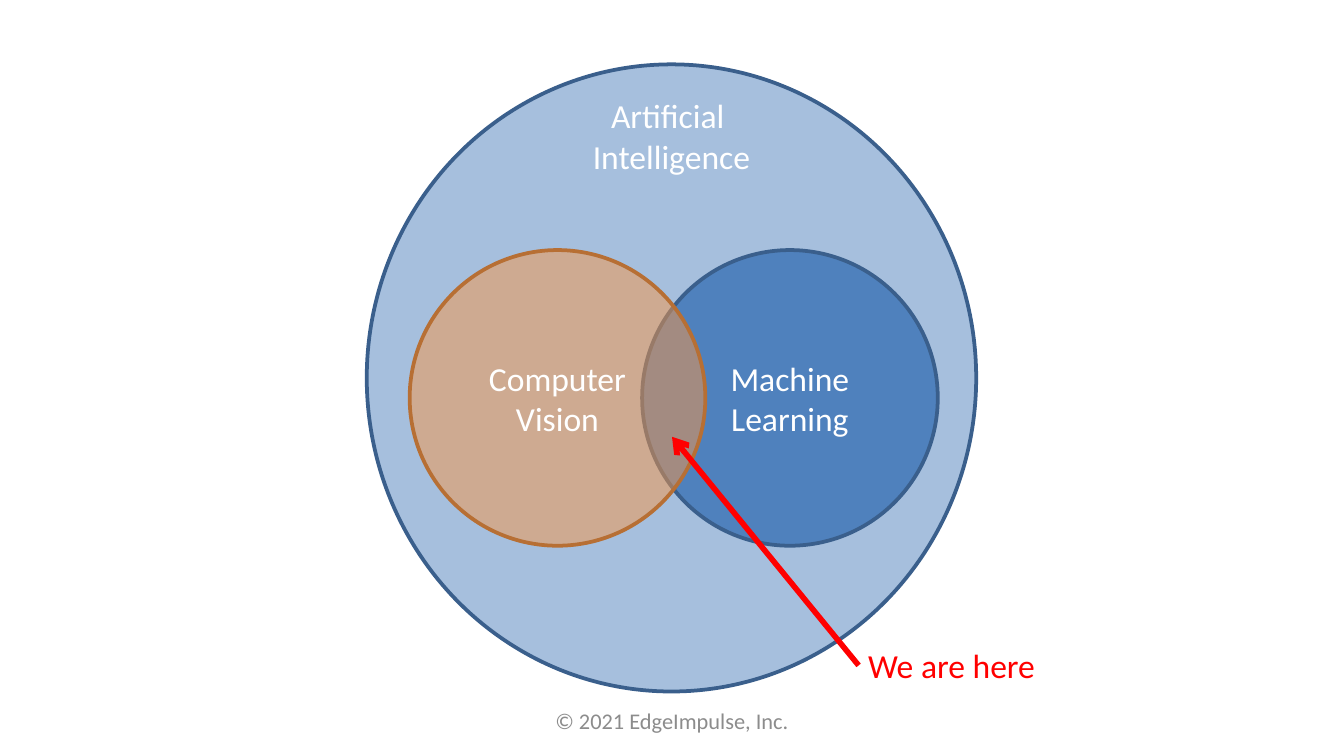
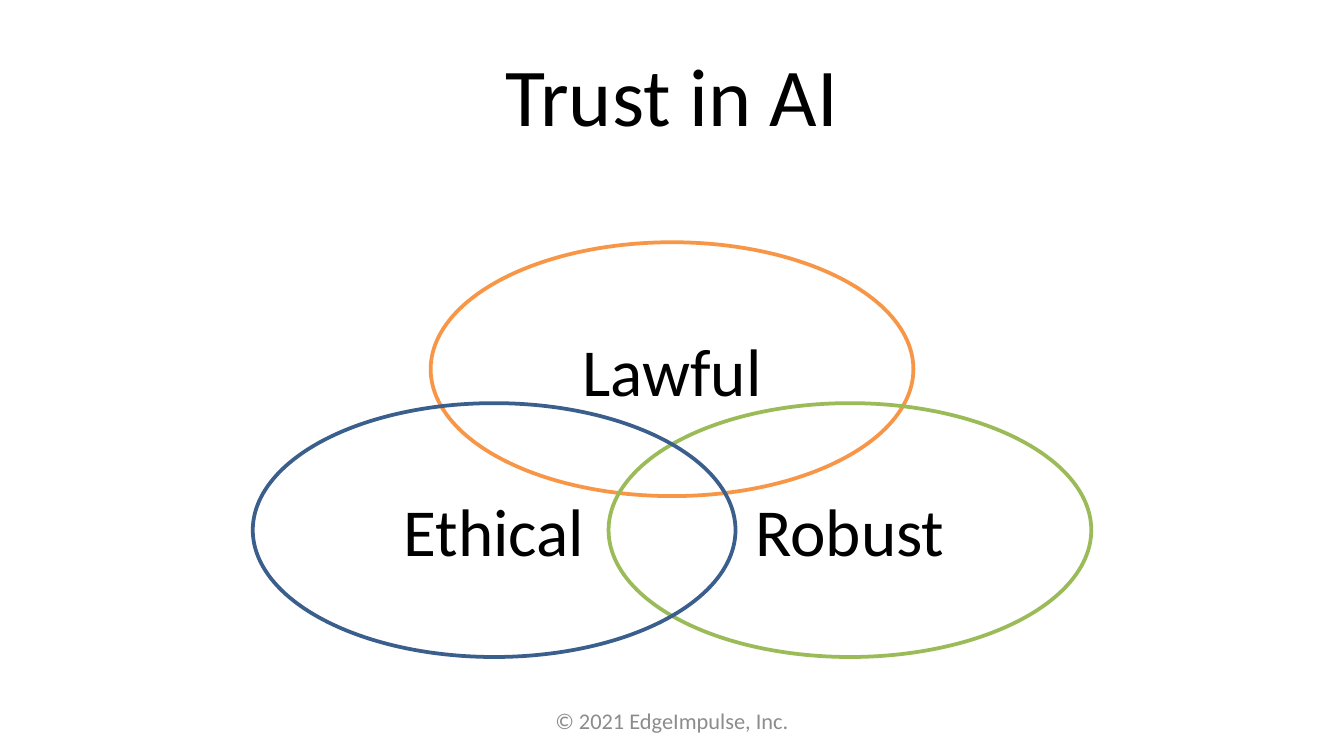
from lxml import etree
from pptx import Presentation
from pptx.dml.color import RGBColor
from pptx.enum.shapes import MSO_CONNECTOR, MSO_SHAPE
from pptx.enum.text import MSO_ANCHOR, MSO_AUTO_SIZE, PP_ALIGN
from pptx.oxml.ns import qn
from pptx.util import Pt

OVAL = MSO_SHAPE.OVAL
STRAIGHT = MSO_CONNECTOR.STRAIGHT
TOP, MIDDLE = MSO_ANCHOR.TOP, MSO_ANCHOR.MIDDLE
LEFT, CENTER = PP_ALIGN.LEFT, PP_ALIGN.CENTER
NO_FIT, GROW = MSO_AUTO_SIZE.NONE, MSO_AUTO_SIZE.SHAPE_TO_FIT_TEXT

TITLE_ONLY, BLANK = 5, 6
SLIDE_W, SLIDE_H = 720, 405
FONT = "Calibri"
WHITE, BLACK, RED, GRAY = "FFFFFF", "000000", "FF0000", "8C8C8C"
BLUE, NAVY, ORANGE, BROWN, GREEN = "4F81BD", "3A5F8C", "F79646", "B76F34", "9BBB59"
TITLE_BOX = (36, 16.5, 648, 67.5)
FOOTER_BOX = (246, 375, 228, 21.6)
FOOTER = "© 2021 EdgeImpulse, Inc."


def rgb(color):
    return RGBColor.from_string(color)


def write(shape, lines, size, color, align=CENTER, anchor=MIDDLE, wrap=True, fit=NO_FIT):
    tf = shape.text_frame
    frame_format = {"word_wrap": wrap, "vertical_anchor": anchor, "auto_size": fit}
    for name, value in frame_format.items():
        setattr(tf, name, value)
    tf.text = "\n".join(lines)
    for p in tf.paragraphs:
        p.alignment = align
        for name, value in {"name": FONT, "size": Pt(size)}.items():
            setattr(p.font, name, value)
        p.font.color.rgb = rgb(color)


def add_text(s, box, lines, size, color, **options):
    shape = s.shapes.add_textbox(*map(Pt, box))
    write(shape, lines, size, color, **options)


def add_ellipse(s, box, line, fill=None, opacity=100):
    shape = s.shapes.add_shape(OVAL, *map(Pt, box))
    shape.shadow.inherit = False
    shape.line.color.rgb = rgb(line)
    shape.line.width = Pt(2)
    if fill is None:
        shape.fill.background()
        return shape
    shape.fill.solid()
    shape.fill.fore_color.rgb = rgb(fill)
    if opacity < 100:
        clr = shape._element.spPr.find(qn("a:solidFill"))[0]
        etree.SubElement(clr, qn("a:alpha"), val=str(opacity * 1000))
    return shape


def add_arrow(s, start, end, color):
    line = s.shapes.add_connector(STRAIGHT, *map(Pt, start + end))
    line.line.color.rgb = rgb(color)
    line.line.width = Pt(3)
    etree.SubElement(line.line._get_or_add_ln(), qn("a:tailEnd"), type="arrow")
    etree.SubElement(line._element.spPr, qn("a:effectLst"))


def add_title(s, box, text):
    title = s.shapes.title
    for name, value in zip(("left", "top", "width", "height"), box):
        setattr(title, name, Pt(value))
    write(title, [text], 44, BLACK)


def add_fields(s, box):
    x, y, w, h = box
    d = 158.4
    top = y + 99.5
    add_text(s, (x + 261.5, y + 307.5, 105, 29), ["We are here"], 18, RED,
             align=LEFT, anchor=TOP, wrap=False, fit=GROW)
    add_ellipse(s, box, NAVY, BLUE, 50)
    learning = add_ellipse(s, (x + 147.5, top, d, d), NAVY, BLUE)
    write(learning, ["Machine", "Learning"], 18, WHITE)
    vision = add_ellipse(s, (x + 23, top, d, d), BROWN, ORANGE, 50)
    write(vision, ["Computer", "Vision"], 18, WHITE)
    for side in ("left", "top", "right", "bottom"):
        setattr(vision.text_frame, "margin_" + side, 0)
    label_w = 116.6
    add_text(s, (x + (w - label_w) / 2, y + 13, label_w, 51),
             ["Artificial ", "Intelligence"], 18, WHITE, anchor=TOP, fit=GROW)
    add_arrow(s, (x + 263.5, y + 322), (x + 163.5, y + 199.5), RED)


def add_trust_rings(s, box):
    x, y, w, h = box
    ring_w, ring_h = 258.6, 136
    rings = [
        ("Lawful", (w - ring_w) / 2, 0, ORANGE, WHITE),
        ("Robust", w - ring_w, h - ring_h, GREEN, None),
        ("Ethical", 0, h - ring_h, NAVY, None),
    ]
    for label, dx, dy, line, fill in rings:
        ring = add_ellipse(s, (x + dx, y + dy, ring_w, ring_h), line, fill)
        write(ring, [label], 36, BLACK)


def add_slide(prs, layout):
    s = prs.slides.add_slide(prs.slide_layouts[layout])
    s.background.fill.solid()
    s.background.fill.fore_color.rgb = rgb(WHITE)
    return s


def add_footer(s):
    add_text(s, FOOTER_BOX, [FOOTER], 12, GRAY)


def main():
    prs = Presentation()
    prs.slide_width, prs.slide_height = Pt(SLIDE_W), Pt(SLIDE_H)

    s = add_slide(prs, BLANK)
    add_fields(s, (196.5, 34.5, 326.5, 336))
    add_footer(s)

    s = add_slide(prs, TITLE_ONLY)
    add_trust_rings(s, (135.4, 129.8, 449.2, 222.2))
    add_title(s, TITLE_BOX, "Trust in AI")
    add_footer(s)

    prs.save("out.pptx")


if __name__ == "__main__":
    main()
